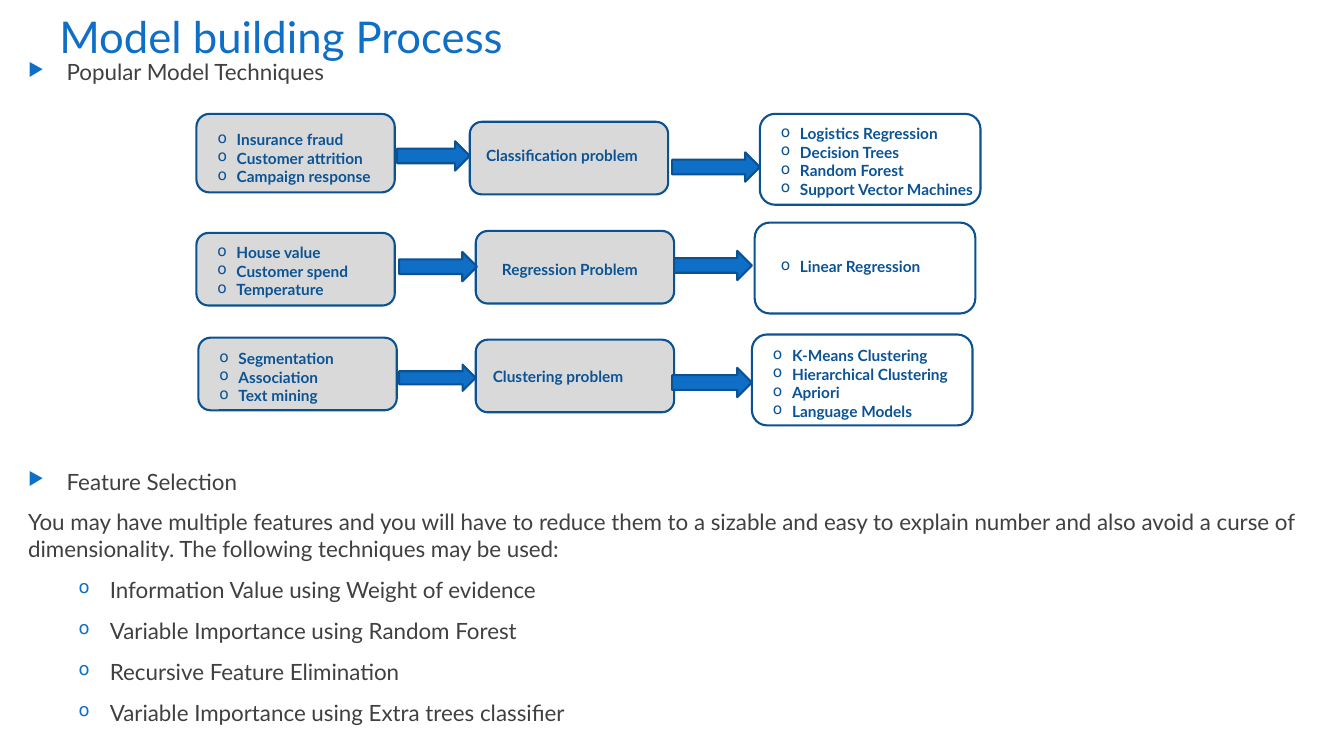
"""Build the slide on the model building process."""
from pptx import Presentation
from pptx.dml.color import RGBColor
from pptx.enum.shapes import MSO_SHAPE as Kind
from pptx.enum.text import MSO_ANCHOR as Anchor, PP_ALIGN as Align
from pptx.oxml.ns import qn
from pptx.util import Cm, Pt
from lxml.etree import SubElement

BLUE = RGBColor(0x0F, 0x6F, 0xC6)
EDGE = RGBColor(0x0B, 0x52, 0x92)
NAVY = RGBColor(0x0B, 0x53, 0x94)
DARK = RGBColor(0x40, 0x40, 0x40)
GREY = RGBColor(0xD9, 0xD9, 0xD9)
WHITE = RGBColor(0xFF, 0xFF, 0xFF)


def write(para, text, size, color, bold=False, sign=None, left=0, hang=0, tint=None):
    para.text = text
    para.alignment = Align.LEFT
    font = para.runs[0].font
    font.name, font.size, font.bold = "Lato", Pt(size), bold
    font.color.rgb = color
    if sign:
        props = para._p.get_or_add_pPr()
        props.set("marL", str(Cm(left)))
        props.set("indent", str(-Cm(hang)))
        if tint:
            fill = SubElement(props, qn("a:buClr"))
            SubElement(fill, qn("a:srgbClr")).set("val", str(tint))
            SubElement(props, qn("a:buSzPct")).set("val", "80000")
        SubElement(props, qn("a:buChar")).set("char", sign)


def draw(kind, left, top, width, height, color):
    shape = slide.shapes.add_shape(kind, Cm(left), Cm(top), Cm(width), Cm(height))
    shape.shadow.inherit = False
    shape.fill.solid()
    shape.fill.fore_color.rgb = color
    shape.line.color.rgb = EDGE
    shape.line.width = Pt(1.5)
    return shape


deck = Presentation()
deck.slide_width, deck.slide_height = Cm(33.87), Cm(19.05)
slide = deck.slides.add_slide(deck.slide_layouts[5])

title = slide.shapes.title
title.left, title.top, title.width, title.height = Cm(1.24), Cm(0.05), Cm(23.88), Cm(1.73)
title.text_frame.vertical_anchor = Anchor.MIDDLE
write(title.text_frame.paragraphs[0], "Model building Process", 31.2, BLUE)

head = dict(sign="▶", left=0.97, hang=0.97, tint=BLUE)
item = dict(sign="o", left=2.06, hang=0.79, tint=BLUE)
bodies = [
    (1.35, 0.95, [("Popular Model Techniques", head)]),
    (11.66, 7.2, [
        ("Feature Selection", head),
        ("You may have multiple features and you will have to reduce them to a sizable "
         "and easy to explain number and also avoid a curse of dimensionality. "
         "The following techniques may be used:", {}),
        ("Information Value using Weight of evidence", item),
        ("Variable Importance using Random Forest", item),
        ("Recursive Feature Elimination", item),
        ("Variable Importance using Extra trees classifier", item),
    ]),
]
for top, height, texts in bodies:
    frame = slide.shapes.add_textbox(Cm(0.46), Cm(top), Cm(32.51), Cm(height)).text_frame
    frame.word_wrap = True
    for i, (text, style) in enumerate(texts):
        para = frame.add_paragraph() if i else frame.paragraphs[0]
        para.space_before = Pt(10 if i else 0)
        write(para, text, 16, DARK, **style)

dot = dict(sign="o", left=0.48, hang=0.48)
columns = [
    (5, GREY, dot, [
        (4.95, 2.87, 1.98, 0.44, 0.13,
         ["Insurance fraud", "Customer attrition", "Campaign response"]),
        (4.95, 5.87, 1.83, 0.44, 0.05, ["House value", "Customer spend", "Temperature"]),
        (5, 8.51, 1.83, 0.44, 0.08, ["Segmentation", "Association", "Text mining"]),
    ]),
    (5, GREY, {}, [
        (11.84, 3.07, 1.83, 0.32, -0.06, ["Classification problem"]),
        (11.99, 5.82, 1.83, 0.57, 0.06, ["Regression Problem"]),
        (11.99, 8.56, 1.83, 0.34, 0.01, ["Clustering problem"]),
    ]),
    (5.56, WHITE, dot, [
        (19.15, 2.87, 2.29, 0.42, 0.05,
         ["Logistics Regression", "Decision Trees", "Random Forest",
          "Support Vector Machines"]),
        (19.02, 5.61, 2.29, 0.55, -0.04, ["Linear Regression"]),
        (18.95, 8.43, 2.29, 0.42, 0.08,
         ["K-Means Clustering", "Hierarchical Clustering", "Apriori", "Language Models"]),
    ]),
]
for width, color, style, boxes in columns:
    for left, top, height, inset, drop, texts in boxes:
        frame = draw(Kind.ROUNDED_RECTANGLE, left, top, width, height, color).text_frame
        frame.word_wrap = True
        frame.vertical_anchor = Anchor.MIDDLE
        frame.margin_left, frame.margin_right = Cm(inset), 0
        frame.margin_top, frame.margin_bottom = Cm(max(2 * drop, 0)), Cm(max(-2 * drop, 0))
        for i, text in enumerate(texts):
            para = frame.add_paragraph() if i else frame.paragraphs[0]
            write(para, text, 11, NAVY, True, **style)

arrows = [
    (10.01, 3.56, 1.83, 0.74), (10.06, 6.35, 1.96, 0.74), (10.06, 9.19, 1.93, 0.66),
    (16.94, 3.84, 2.21, 0.74), (16.99, 6.32, 1.96, 0.74), (16.94, 9.27, 2.01, 0.74),
]
for place in arrows:
    draw(Kind.RIGHT_ARROW, *place, BLUE)

deck.save("out.pptx")
